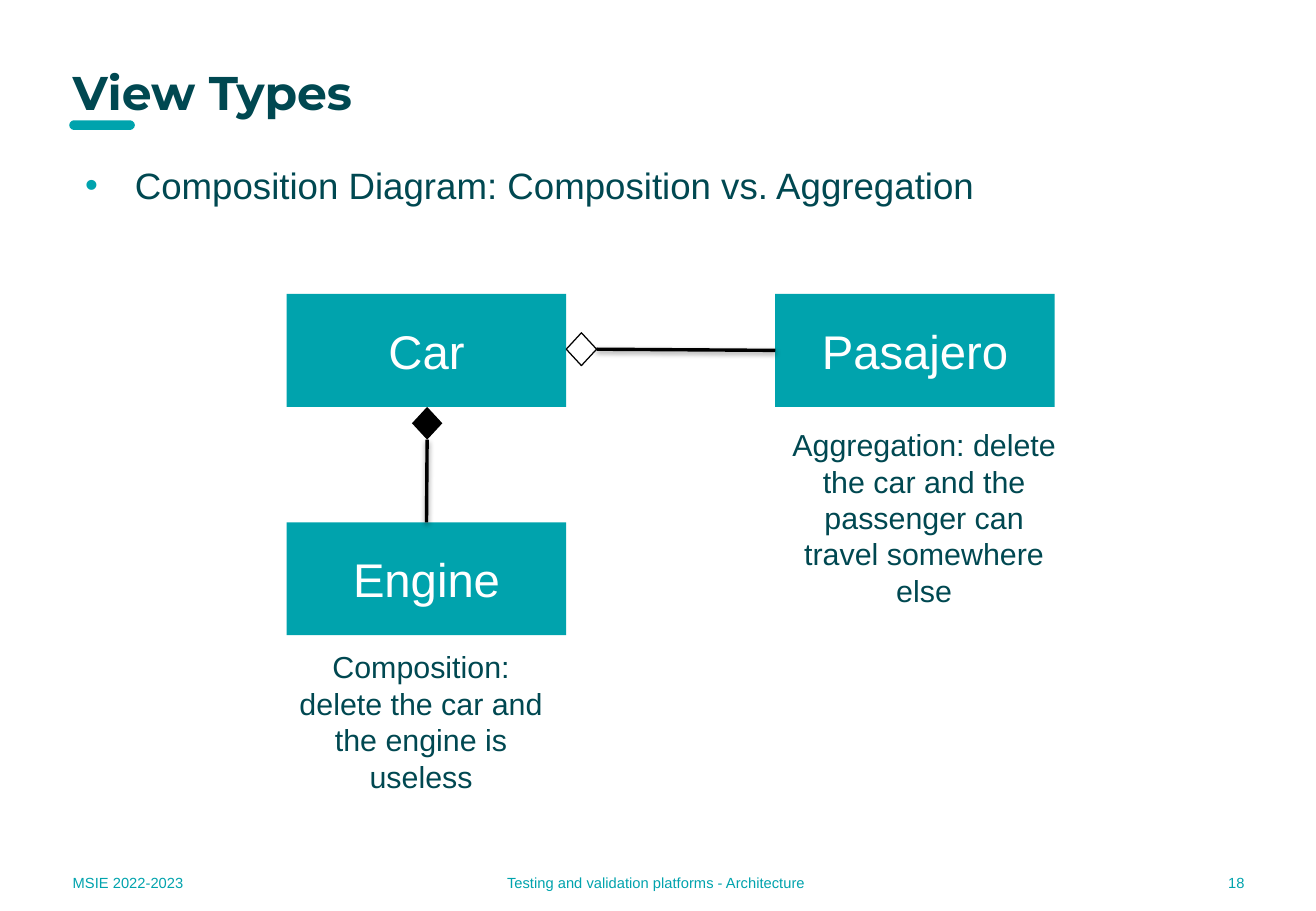
"""Build a slide contrasting composition and aggregation in a class diagram."""
from lxml import etree
from pptx import Presentation
from pptx import util as u
from pptx.dml import color
from pptx.enum import shapes, text
from pptx.oxml import ns, parse_xml

COLORS = {"teal": "00A3AD", "bullet": "00A3AE", "dark": "004851",
          "white": "FFFFFF", "black": "000000"}
ALIGN = text.PP_ALIGN
SHAPE = shapes.MSO_SHAPE
MIDDLE = text.MSO_ANCHOR.MIDDLE


def write(shape, words, size, color_name, align, anchor, font="Arial", bold=False):
    frame = shape.text_frame
    frame.text = words
    frame.word_wrap = True
    frame.vertical_anchor = anchor
    paragraph = frame.paragraphs[0]
    paragraph.alignment = align
    run_font = paragraph.runs[0].font
    run_font.name, run_font.size, run_font.bold = font, u.Pt(size), bold
    run_font.color.rgb = color.RGBColor.from_string(COLORS[color_name])
    return paragraph


def add_filled(kind, box, fill):
    shape = slide.shapes.add_shape(kind, *map(u.Inches, box))
    shape.shadow.inherit = False
    shape.line.fill.background()
    if fill:
        shape.fill.solid()
        shape.fill.fore_color.rgb = color.RGBColor.from_string(COLORS[fill])
    else:
        shape.fill.background()
    return shape


presentation = Presentation()
presentation.slide_width = u.Inches(10.83)
presentation.slide_height = u.Inches(7.5)
slide = presentation.slides.add_slide(presentation.slide_layouts[6])

accent = add_filled(SHAPE.ROUNDED_RECTANGLE, (0.57, 0.99, 0.54, 0.08), "teal")
accent.adjustments[0] = 0.5

footers = [
    ("MSIE 2022-2023", 0.5, 1.4, ALIGN.LEFT),
    ("Testing and validation platforms - Architecture", 2.57, 5.66, ALIGN.CENTER),
    ("18", 9.02, 1.32, ALIGN.RIGHT),
]
for words, left, width, align in footers:
    footer = slide.shapes.add_textbox(*map(u.Inches, (left, 7.07, width, 0.4)))
    write(footer, words, 8.7, "teal", align, MIDDLE)

title = slide.shapes.add_textbox(*map(u.Inches, (0.5, 0.52, 9.08, 0.47)))
write(title, "View Types", 28, "dark", ALIGN.LEFT, MIDDLE, "Montserrat", True)

topic = slide.shapes.add_textbox(*map(u.Inches, (0.59, 1.18, 8.74, 0.53)))
topic.text_frame.margin_left = topic.text_frame.margin_right = u.Inches(0.11)
paragraph = write(topic, "Composition Diagram: Composition vs. Aggregation",
                  21.7, "dark", ALIGN.LEFT, text.MSO_ANCHOR.TOP)
paragraph.line_spacing = 1.3
paragraph.space_before = u.Pt(5.4)
properties = paragraph._p.get_or_add_pPr()
properties.set("marL", str(u.Inches(0.41)))
properties.set("indent", str(-u.Inches(0.41)))
bullet_color = etree.SubElement(properties, ns.qn("a:buClr"))
etree.SubElement(bullet_color, ns.qn("a:srgbClr"), val=COLORS["bullet"])
etree.SubElement(properties, ns.qn("a:buFont"), typeface="Arial")
etree.SubElement(properties, ns.qn("a:buChar"), char="•")

classes = {}
for name, left, top in [("Car", 2.36, 2.42), ("Engine", 2.36, 4.3), ("Pasajero", 6.38, 2.42)]:
    classes[name] = add_filled(SHAPE.RECTANGLE, (left, top, 2.3, 0.93), "teal")
    write(classes[name], name, 28, "white", ALIGN.CENTER, MIDDLE)

composition = add_filled(SHAPE.DIAMOND, (3.39, 3.35, 0.25, 0.27), "black")
aggregation = add_filled(SHAPE.DIAMOND, (4.66, 2.74, 0.25, 0.27), None)
aggregation.line.color.rgb = color.RGBColor.from_string(COLORS["black"])
aggregation.line.width = u.Pt(0.75)

for diamond, start_side, part, end_side in [(composition, 2, "Engine", 0),
                                            (aggregation, 3, "Pasajero", 1)]:
    link = slide.shapes.add_connector(shapes.MSO_CONNECTOR.STRAIGHT, 0, 0, 0, 0)
    link.begin_connect(diamond, start_side)
    link.end_connect(classes[part], end_side)
    link.line.color.rgb = color.RGBColor.from_string(COLORS["black"])
    link.line.width = u.Pt(2)
    link._element.spPr.append(parse_xml(
        f'<a:effectLst {ns.nsdecls("a")}>'
        f'<a:outerShdw blurRad="{u.Pt(3.1)}" dist="{u.Pt(1.6)}" dir="5400000" rotWithShape="0">'
        f'<a:srgbClr val="{COLORS["black"]}"><a:alpha val="38000"/></a:srgbClr>'
        '</a:outerShdw></a:effectLst>'))

captions = [
    ("Composition: delete the car and the engine is useless", 2.27, 5.29, 1.01),
    ("Aggregation: delete the car and the passenger can travel somewhere else", 6.41, 3.46, 1.62),
]
for words, left, top, height in captions:
    caption = slide.shapes.add_textbox(*map(u.Inches, (left, top, 2.39, height)))
    write(caption, words, 18, "dark", ALIGN.CENTER, text.MSO_ANCHOR.TOP)

presentation.save("out.pptx")
